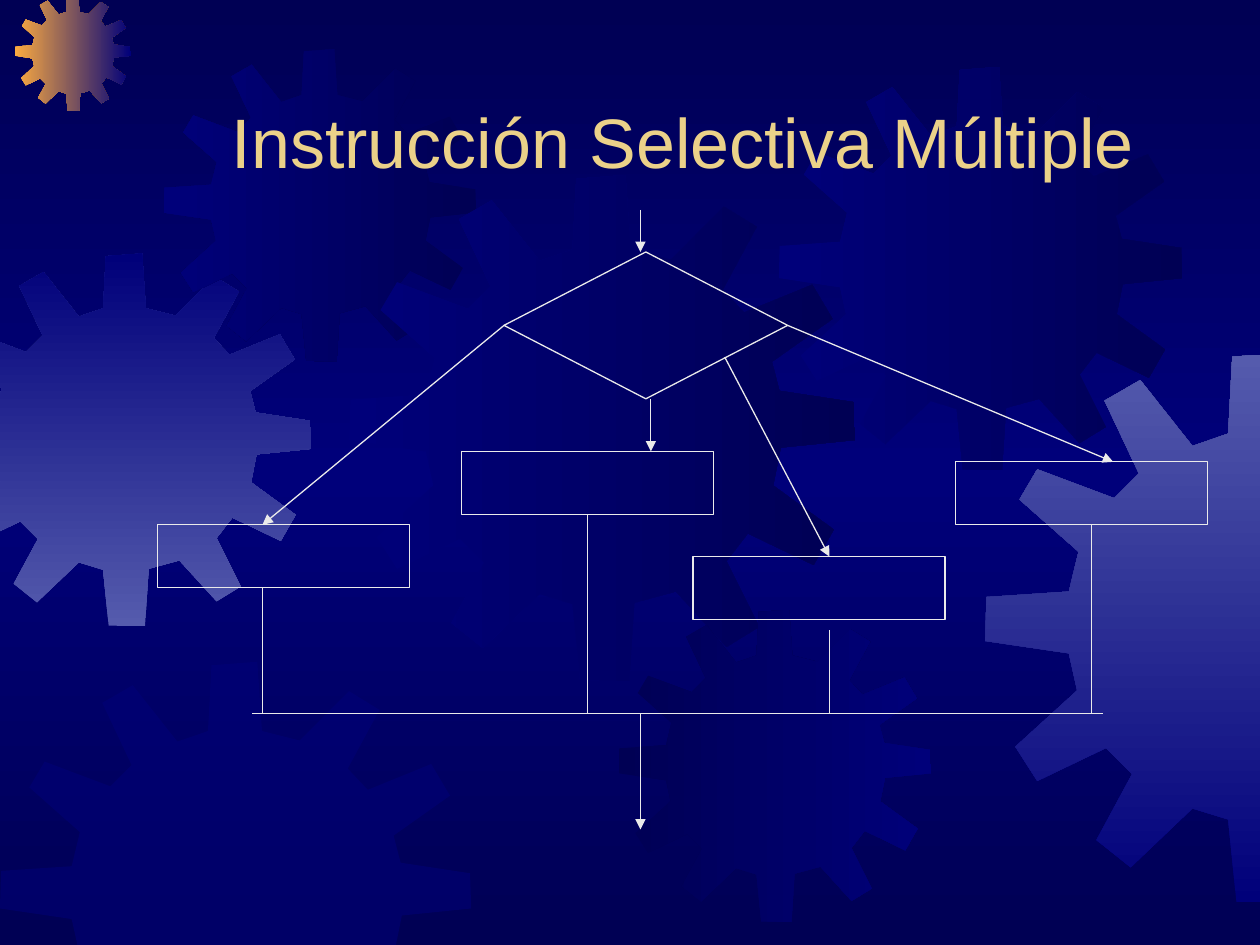
from copy import deepcopy

from lxml.etree import SubElement
from pptx import Presentation
from pptx.dml.color import RGBColor
from pptx.enum.shapes import MSO_CONNECTOR, MSO_SHAPE
from pptx.enum.text import MSO_ANCHOR, PP_ALIGN
from pptx.oxml.ns import qn
from pptx.util import Cm, Pt

NIGHT = RGBColor(0x00, 0x00, 0x54)
NAVY = RGBColor(0x00, 0x00, 0x7A)
LAVENDER = RGBColor(0x55, 0x5B, 0xAD)
ORANGE = RGBColor(0xFC, 0xAB, 0x40)
GOLD = RGBColor(0xEB, 0xD1, 0x89)
PALE = RGBColor(0xEA, 0xEA, 0xEA)

SLIDE_W, SLIDE_H = 25.4, 19.05
BOX_W, BOX_H = 5.08, 1.27
JOIN_Y = 14.39

# Outline of a twelve-toothed gear, GEAR_SIZE units wide and high
GEAR_SIZE = 401
GEAR = [
    (255, 67), (223, 59), (219, 0), (180, 3), (177, 59), (151, 68),
    (113, 20), (87, 35), (112, 88), (94, 106), (38, 85), (25, 107),
    (68, 145), (61, 174), (1, 178), (0, 210), (61, 219), (67, 246),
    (22, 287), (38, 312), (88, 288), (107, 307), (81, 355), (106, 375),
    (151, 332), (177, 340), (183, 400), (222, 401), (226, 339), (259, 330),
    (299, 374), (325, 358), (299, 306), (316, 284), (368, 309), (384, 281),
    (336, 246), (342, 216), (401, 210), (400, 180), (341, 171), (335, 148),
    (383, 114), (367, 87), (313, 109), (296, 91), (323, 41), (297, 25),
]

# left, top, size, first colour, last colour, counter-clockwise angle
GEARS = [
    (-1.24, 5.11, 7.52, LAVENDER, NAVY, 90),
    (0.3, -0.1, 2.34, ORANGE, NAVY, 0),
    (3.3, 0.99, 6.3, NIGHT, NAVY, 180),
    (7.04, 3.53, 10.2, NAVY, NIGHT, 0),
    (0, 13.34, 9.5, NAVY, None, 0),
    (12.47, 12.29, 6.3, NIGHT, NAVY, 0),
    (15.7, 1.35, 8.13, NAVY, NIGHT, 0),
    (19.86, 7.11, 11.1, NAVY, LAVENDER, 90),
]


def clip(points, axis, limit, sign):
    """Cut a polygon, keeping the side where sign * (coordinate - limit) >= 0."""
    kept = []
    for a, b in zip(points, points[1:] + points[:1]):
        da, db = sign * (a[axis] - limit), sign * (b[axis] - limit)
        if da >= 0:
            kept.append(a)
        if da * db < 0:
            t = da / (da - db)
            kept.append((a[0] + t * (b[0] - a[0]), a[1] + t * (b[1] - a[1])))
    return kept


def set_gradient(fill, first, last, angle):
    fill.gradient()
    fill.gradient_angle = angle
    for stop, color in zip(fill.gradient_stops, (first, last)):
        stop.color.rgb = color


def set_background(slide):
    fill = slide.background.fill
    set_gradient(fill, NIGHT, NIGHT, 270)
    gs_lst = slide._element.find(".//" + qn("a:gsLst"))
    gs_lst.insert(1, deepcopy(gs_lst[0]))
    middle = fill.gradient_stops[1]
    middle.position = 0.5
    middle.color.rgb = NAVY


def add_gear(slide, left, top, size, first, last, angle):
    """Add a gear cut at the slide's edges; without a last colour it is half transparent."""
    unit = size / GEAR_SIZE
    points = [(left + x * unit, top + y * unit) for x, y in GEAR]
    for axis, extent in enumerate((SLIDE_W, SLIDE_H)):
        points = clip(clip(points, axis, 0, 1), axis, extent, -1)
    points = [(Cm(x), Cm(y)) for x, y in points]
    builder = slide.shapes.build_freeform(*points[0])
    builder.add_line_segments(points[1:], close=True)
    sp = builder.convert_to_shape()
    sp.shadow.inherit = False
    sp.line.fill.background()
    if last is None:
        sp.fill.solid()
        sp.fill.fore_color.rgb = first
        color = sp._element.spPr.find(".//" + qn("a:srgbClr"))
        SubElement(color, qn("a:alpha"), val="50000")
    else:
        set_gradient(sp.fill, first, last, angle)


def set_title(slide, text):
    title = slide.shapes.title
    title.left, title.top, title.width, title.height = Cm(2.97), Cm(1.47), Cm(21.59), Cm(2.34)
    slide.shapes._spTree.append(title._element)  # bring in front of the gears
    tf = title.text_frame
    tf.text = text
    tf.vertical_anchor = MSO_ANCHOR.BOTTOM
    p = tf.paragraphs[0]
    p.alignment = PP_ALIGN.CENTER
    p.font.name = "Arial"
    p.font.size = Pt(40)
    p.font.color.rgb = GOLD


def add_outline(slide, kind, left, top, width, height):
    sp = slide.shapes.add_shape(kind, Cm(left), Cm(top), Cm(width), Cm(height))
    sp.shadow.inherit = False
    sp.fill.background()
    sp.line.color.rgb = PALE
    sp.line.width = Pt(0.75)
    return sp


def add_line(slide, x1, y1, x2, y2, arrow=False):
    line = slide.shapes.add_connector(MSO_CONNECTOR.STRAIGHT, Cm(x1), Cm(y1), Cm(x2), Cm(y2))
    line.line.color.rgb = PALE
    line.line.width = Pt(0.75)
    spPr = line._element.spPr
    if arrow:
        SubElement(spPr.find(qn("a:ln")), qn("a:tailEnd"), type="triangle")
    SubElement(spPr, qn("a:effectLst"))
    return line


def add_flowchart(slide):
    decision = add_outline(slide, MSO_SHAPE.FLOWCHART_DECISION, 10.16, 5.08, 5.72, 2.96)
    corners = [(3.18, 10.58), (9.31, 9.1), (13.97, 11.22), (19.26, 9.31)]
    boxes = [add_outline(slide, MSO_SHAPE.RECTANGLE, x, y, BOX_W, BOX_H) for x, y in corners]

    add_line(slide, 5.08, JOIN_Y, 22.23, JOIN_Y)
    add_line(slide, 12.91, 4.23, 12.91, 5.08, arrow=True)
    add_line(slide, 12.91, JOIN_Y, 12.91, 16.72, arrow=True)

    to_first = add_line(slide, 10.16, 6.56, 5.29, 10.58, arrow=True)
    to_first.begin_connect(decision, 1)
    add_line(slide, 13.12, 8.04, 13.12, 9.1, arrow=True)
    add_line(slide, 14.61, 7.2, 16.72, 11.22, arrow=True)
    to_last = add_line(slide, 15.88, 6.56, 22.44, 9.31, arrow=True)
    to_last.begin_connect(decision, 3)

    stems = [add_line(slide, x, y, x, JOIN_Y)
             for x, y in [(5.29, 11.85), (11.85, 10.37), (16.72, 12.7), (22.01, 10.58)]]
    stems[1].begin_connect(boxes[1], 2)


def main():
    prs = Presentation()
    prs.slide_width, prs.slide_height = Cm(SLIDE_W), Cm(SLIDE_H)
    slide = prs.slides.add_slide(prs.slide_layouts[5])
    set_background(slide)
    for gear in GEARS:
        add_gear(slide, *gear)
    set_title(slide, "Instrucción Selectiva Múltiple")
    add_flowchart(slide)
    prs.save("out.pptx")


if __name__ == "__main__":
    main()
